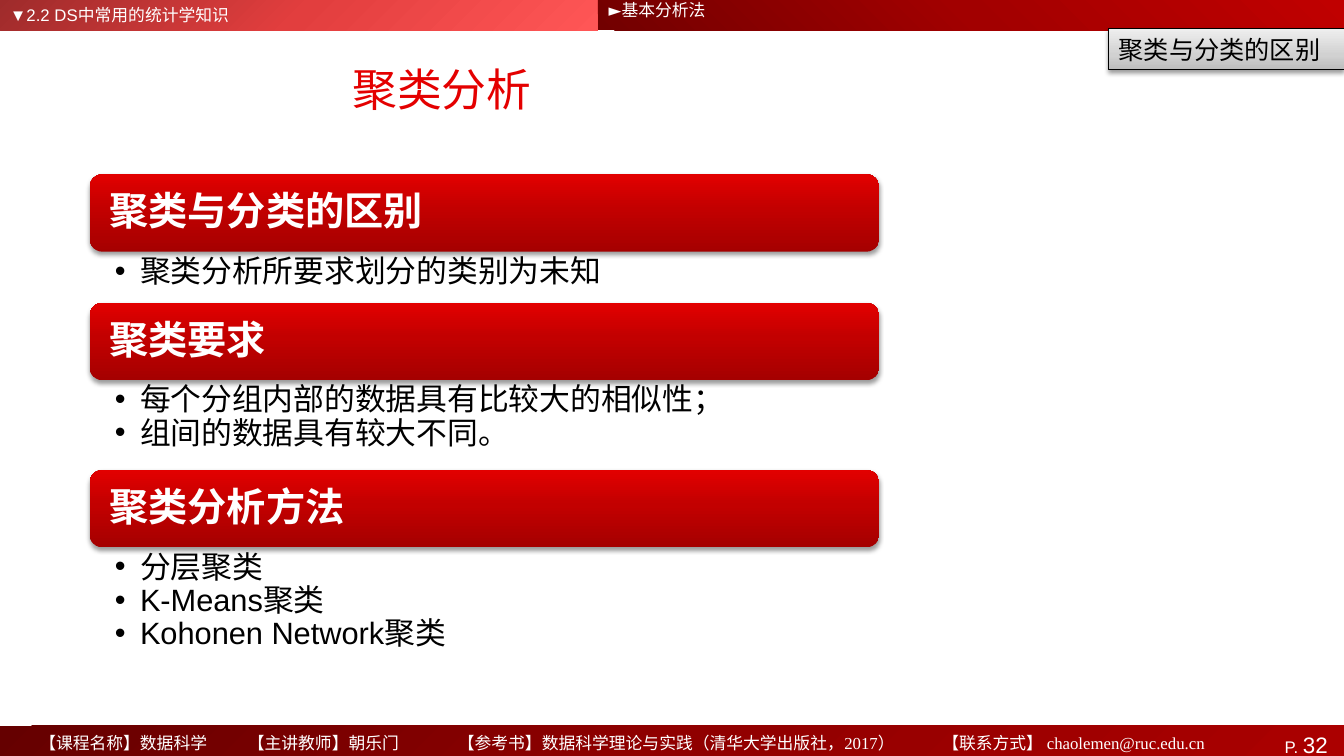
"""Build the cluster analysis slide of a data science course."""
from copy import deepcopy
from lxml import etree
from pptx import Presentation
from pptx.dml.color import RGBColor
from pptx.enum import shapes, text
from pptx.oxml.ns import qn
from pptx.util import Pt

RECT = shapes.MSO_SHAPE.RECTANGLE
ROUND = shapes.MSO_SHAPE.ROUNDED_RECTANGLE
TOP, MID = text.MSO_ANCHOR.TOP, text.MSO_ANCHOR.MIDDLE
LEFT, MIDDLE, RIGHT = text.PP_ALIGN.LEFT, text.PP_ALIGN.CENTER, text.PP_ALIGN.RIGHT
CJK = "Noto Sans CJK SC"
color = RGBColor.from_string

deck = Presentation()
deck.slide_width, deck.slide_height = Pt(960), Pt(540)
slide = deck.slides.add_slide(deck.slide_layouts[6])


def panel(kind, area, stops, angle, blur=0):
    """Add a shape with a three-stop gradient and, if asked, a soft shadow."""
    box = slide.shapes.add_shape(kind, *map(Pt, area))
    box.shadow.inherit = False
    box.line.fill.background()
    box.fill.gradient()
    props = box._element.spPr
    group = next(props.iter(qn("a:gsLst")))
    group.insert(1, deepcopy(group[0]))
    for stop, (spot, tint) in zip(box.fill.gradient_stops, stops):
        stop.color.rgb = color(tint)
        stop.position = spot
    box.fill.gradient_angle = angle
    if blur:
        shade = etree.SubElement(
            props.find(qn("a:effectLst")), qn("a:outerShdw"), blurRad=str(Pt(blur)),
            dist=str(Pt(2)), dir="5400000", algn="ctr", rotWithShape="0")
        dark = etree.SubElement(shade, qn("a:srgbClr"), val="000000")
        etree.SubElement(dark, qn("a:alpha"), val="38000")
    return box


def write(box, lines, tint, name="Arial", align=LEFT, anchor=TOP, inset=(7.2, 3.6, 7.2, 3.6),
          space=1.0, bold=False, bullet=False, tabs=()):
    """Fill a box with paragraphs, each a list of (words, size) runs."""
    frame = box.text_frame
    sides = dict(zip(("margin_left", "margin_top", "margin_right", "margin_bottom"),
                     map(Pt, inset)))
    for key, value in {"word_wrap": True, "vertical_anchor": anchor, **sides}.items():
        setattr(frame, key, value)
    for num, line in enumerate(lines):
        para = frame.add_paragraph() if num else frame.paragraphs[0]
        para.alignment, para.line_spacing = align, space
        props = para._p.get_or_add_pPr()
        if bullet:
            props.set("marL", str(Pt(18)))
            props.set("indent", str(-Pt(18)))
            etree.SubElement(props, qn("a:buFont"), typeface="Arial")
            etree.SubElement(props, qn("a:buChar"), char="•")
        if tabs:
            group = etree.SubElement(props, qn("a:tabLst"))
            for spot in tabs:
                etree.SubElement(group, qn("a:tab"), pos=str(Pt(spot)), algn="l")
        for words, size in line:
            run = para.add_run()
            run.text = words
            look = {"name": name, "size": Pt(size), "bold": bold}
            for key, value in look.items():
                setattr(run.font, key, value)
            run.font.color.rgb = color(tint)
            etree.SubElement(run._r.get_or_add_rPr(), qn("a:ea"), typeface=CJK)


panel(RECT, (0, 0, 427, 21.6), [(0, "9F2B2B"), (0.5, "E23E3E"), (1, "FF5656")], 315)
foot = panel(RECT, (0, 518.4, 960, 26.6), [(0, "650000"), (0.5, "900000"), (1, "AB0000")], 315)
write(foot, [[("P. ", 12), ("32", 16)]], "FFFFFF", align=RIGHT, inset=(7.2, 3.6, 11.6, 3.6))
panel(RECT, (427, 0, 533, 21.6), [(0, "720000"), (0.5, "A20000"), (1, "C00000")], 45)

course = "\t".join([
    "【课程名称】数据科学", "【主讲教师】朝乐门",
    "【参考书】数据科学理论与实践（清华大学出版社，2017）",
    "【联系方式】 chaolemen@ruc.edu.cn"])
labels = [
    ((21, 520, 883, 29.5), course, 12, "FFFFFF",
     {"name": "Times New Roman", "tabs": (149, 299, 645)}),
    ((31.7, 31, 568, 64.8), "聚类分析", 32, "E40000",
     {"name": CJK, "align": MIDDLE, "anchor": MID}),
    ((0, 0, 348, 20.9), "▼2.2 DS中常用的统计学知识", 12, "FFFFFF", {}),
    ((427.7, 0, 268, 3.6), "►基本分析法", 12, "FFFFFF", {}),
]
for area, words, size, tint, look in labels:
    write(slide.shapes.add_textbox(*map(Pt, area)), [[(words, size)]], tint, **look)

topics = [
    ("聚类与分类的区别", 36.5, ["聚类分析所要求划分的类别为未知"]),
    ("聚类要求", 64.1, ["每个分组内部的数据具有比较大的相似性；", "组间的数据具有较大不同。"]),
    ("聚类分析方法", 95.8, ["分层聚类", "K-Means聚类", "Kohonen Network聚类"]),
]
left, top, wide, high = 64, 124.5, 564, 55.3
for head, depth, points in topics:
    bar = panel(ROUND, (left, top, wide, high),
                [(0, "A50000"), (0.55, "C20000"), (1, "E20000")], 90, 3.1)
    write(bar, [[(head, 28)]], "FFFFFF", anchor=MID, inset=(11.5, 8.6, 11.5, 8.6),
          space=0.9, bold=True)
    body = slide.shapes.add_textbox(*map(Pt, (left, top + high, wide, depth)))
    write(body, [[(point, 22)] for point in points], "000000",
          inset=(18, 2.9, 15.8, 2.9), space=0.9, bullet=True)
    top += high + depth

tag = panel(RECT, (792, 20.6, 168, 29), [(0, "BDBDBD"), (0.35, "D1D1D1"), (1, "EEEEEE")], 90, 3.5)
tag.line.color.rgb = color("000000")
tag.line.width = Pt(0.5)
write(tag, [[("聚类与分类的区别", 18)]], "000000")

deck.save("out.pptx")
